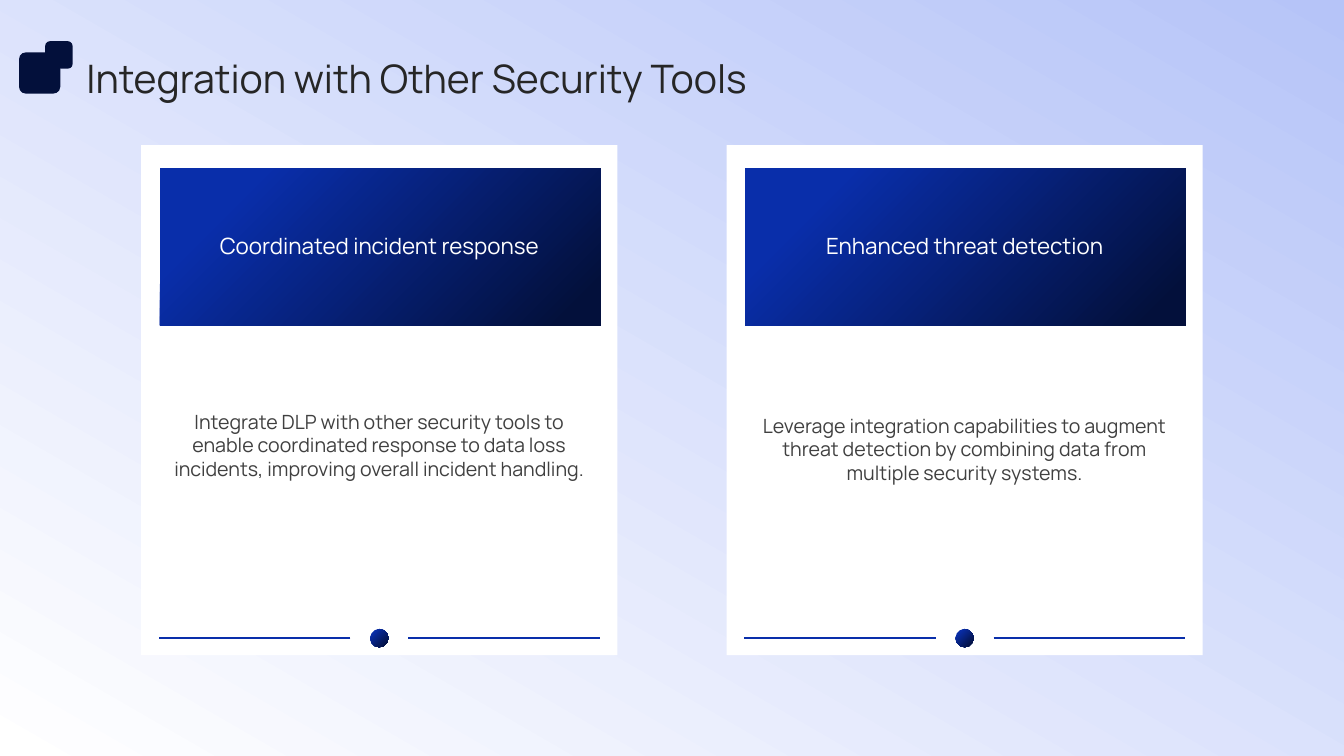
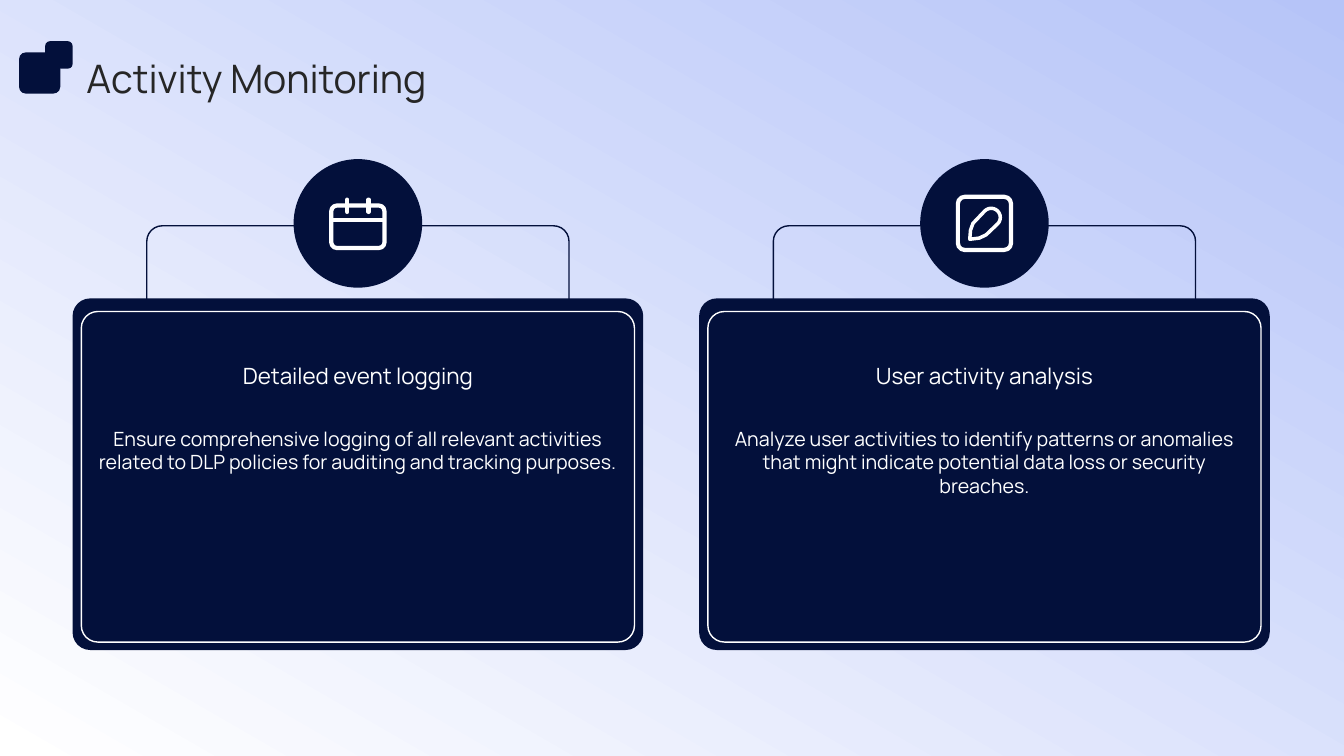
from math import cos, radians, sin

from pptx import Presentation
from pptx import util as u
from pptx.dml.color import RGBColor
from pptx.enum import shapes, text
from pptx.oxml import ns, xmlchemy

FONT = "Manrope"
NAVY, BLUE, WHITE = "03103B", "092EAA", "FFFFFF"
TITLE_GREY, BODY_GREY = "262626", "404040"
SKY = "B6C4F8"
ROUND = shapes.MSO_SHAPE.ROUNDED_RECTANGLE
OVAL = shapes.MSO_SHAPE.OVAL
SQUARE = shapes.MSO_SHAPE.RECTANGLE
DARK_GRADIENT = ((0.18, BLUE), (0.93, NAVY))


def color(code):
    """Turn a hex string into a colour."""
    return RGBColor.from_string(code)


def paint_gradient(fill, stops, angle):
    """Fill with a linear gradient, its angle counted counter-clockwise."""
    fill.gradient()
    fill.gradient_angle = angle
    for stop, (position, code) in zip(fill.gradient_stops, stops):
        stop.position = position
        stop.color.rgb = color(code)


def style_shape(shape, fill=None, line=None, width=1):
    """Give a shape a plain or gradient fill and an optional outline."""
    shape.shadow.inherit = False
    if fill is None:
        shape.fill.background()
    elif isinstance(fill, str):
        shape.fill.solid()
        shape.fill.fore_color.rgb = color(fill)
    else:
        paint_gradient(shape.fill, fill, 315)
    if line:
        shape.line.color.rgb = color(line)
        shape.line.width = u.Pt(width)
    else:
        shape.line.fill.background()


def add_box(page, kind, box, fill=None, line=None, width=1, corner=None):
    """Place a preset shape in a box given in centimetres."""
    shape = page.shapes.add_shape(kind, *map(u.Cm, box))
    if corner is not None:
        shape.adjustments[0] = corner
    style_shape(shape, fill, line, width)


def add_line(page, ends, code, width, cap="flat"):
    """Draw a straight line between two points in centimetres."""
    line = page.shapes.add_connector(
        shapes.MSO_CONNECTOR.STRAIGHT, *map(u.Cm, ends))
    line.line.color.rgb = color(code)
    line.line.width = u.Pt(width)
    properties = line._element.spPr
    properties.find(ns.qn("a:ln")).set("cap", cap)
    properties.append(xmlchemy.OxmlElement("a:effectLst"))


def add_text(page, box, words, size, code, centred=True, margins=(0, 0),
             anchor=text.MSO_ANCHOR.MIDDLE):
    """Place one paragraph of text in a box given in centimetres."""
    frame = page.shapes.add_textbox(*map(u.Cm, box)).text_frame
    frame.word_wrap = True
    frame.vertical_anchor = anchor
    frame.margin_left = frame.margin_right = u.Cm(margins[0])
    frame.margin_top = frame.margin_bottom = u.Cm(margins[1])
    frame.text = words
    para = frame.paragraphs[0]
    para.alignment = text.PP_ALIGN.CENTER if centred else text.PP_ALIGN.LEFT
    for span in para.runs:
        span.font.name = FONT
        span.font.size = u.Pt(size)
        span.font.color.rgb = color(code)


def add_page(deck, title):
    """Add a page with the shared background, corner mark and title."""
    page = deck.slides.add_slide(deck.slide_layouts[6])
    paint_gradient(page.background.fill, ((0, SKY), (1, WHITE)), 240)
    add_text(page, (2.18, 1.3, 29.64, 1.3), title, 28, TITLE_GREY, centred=False)
    for box in ((0.48, 1.32, 1.04, 1.04), (1.14, 1.04, 0.69, 0.69)):
        add_box(page, ROUND, box, NAVY)
    return page


def add_card(page, left, top, heading, body, body_top):
    """Draw a white card with a banner, body text and a dotted rule."""
    width, height = 12, 12.85
    middle, rule = left + width / 2, top + 12.42
    add_box(page, SQUARE, (left, top, width, height), WHITE)
    add_box(page, SQUARE, (left + 0.47, top + 0.58, 11.1, 3.96), DARK_GRADIENT)
    add_text(page, (left + 0.5, top + 1.04, 11, 3), heading, 16, WHITE)
    add_text(page, (left + 0.5, top + body_top, 11, 5), body, 14, BODY_GREY,
             margins=(0.25, 0.13))
    add_box(page, OVAL, (middle - 0.23, rule - 0.23, 0.46, 0.46), DARK_GRADIENT)
    for side in (-1, 1):
        add_line(page, (middle + side * 0.73, rule, middle + side * 5.55, rule),
                 BLUE, 1.5)


def add_calendar(page, x, y):
    """Draw a calendar icon around a centre point."""
    add_box(page, ROUND, (x - 0.67, y - 0.45, 1.34, 1.07), line=WHITE, width=3,
            corner=0.13)
    add_line(page, (x - 0.67, y - 0.09, x + 0.67, y - 0.09), WHITE, 3)
    for ring in (x - 0.27, x + 0.27):
        add_line(page, (ring, y - 0.6, ring, y - 0.29), WHITE, 3, "rnd")


def add_pen(page, x, y):
    """Draw a pen in a rounded frame around a centre point."""
    add_box(page, ROUND, (x - 0.67, y - 0.67, 1.34, 1.34), line=WHITE, width=3,
            corner=0.13)
    cap = [(0.17 + 0.23 * cos(radians(turn)), -0.15 + 0.23 * sin(radians(turn)))
           for turn in range(225, 406, 15)]
    outline = [(-0.37, 0.4), (-0.35, 0.17), (-0.29, 0), *cap,
               (0.04, 0.29), (-0.13, 0.37)]
    points = [(u.Cm(x + across), u.Cm(y + down)) for across, down in outline]
    builder = page.shapes.build_freeform(*points[0])
    builder.add_line_segments(points[1:], close=True)
    style_shape(builder.convert_to_shape(), line=WHITE, width=2.5)


def add_panel(page, left, top, heading, body, draw_icon):
    """Draw a dark panel with a bracket and a round icon above it."""
    width, height = 14.38, 8.86
    middle, radius, icon_y = left + width / 2, 1.62, top - 1.89
    add_box(page, ROUND, (middle - 5.32, top - 1.83, 10.64, 7.82), line=NAVY,
            corner=0.05)
    add_box(page, OVAL, (middle - radius, icon_y - radius, 2 * radius, 2 * radius),
            NAVY)
    draw_icon(page, middle, icon_y)
    add_box(page, ROUND, (left, top, width, height), NAVY, corner=0.05)
    add_box(page, ROUND, (left + 0.22, top + 0.33, 13.94, 8.33), NAVY, WHITE,
            corner=0.05)
    add_text(page, (left + 0.65, top + 0.81, 13.08, 2.29), heading, 16, WHITE)
    add_text(page, (left + 0.65, top + 3.23, 13.08, 5), body, 14, WHITE,
             anchor=text.MSO_ANCHOR.TOP)


def build_integration(deck):
    """Build the page on integration with other tools."""
    page = add_page(deck, "Integration with Other Security Tools")
    cards = (
        ("Coordinated incident response",
         "Integrate DLP with other security tools to enable coordinated response "
         "to data loss incidents, improving overall incident handling.", 5.05),
        ("Enhanced threat detection",
         "Leverage integration capabilities to augment threat detection by "
         "combining data from multiple security systems.", 5.15),
    )
    for index, card in enumerate(cards):
        add_card(page, 3.56 + index * 14.75, 3.66, *card)


def build_monitoring(deck):
    """Build the page on activity monitoring."""
    page = add_page(deck, "Activity Monitoring")
    panels = (
        ("Detailed event logging",
         "Ensure comprehensive logging of all relevant activities related to DLP "
         "policies for auditing and tracking purposes.", add_calendar),
        ("User activity analysis",
         "Analyze user activities to identify patterns or anomalies that might "
         "indicate potential data loss or security breaches.", add_pen),
    )
    for index, panel in enumerate(panels):
        add_panel(page, 1.83 + index * 15.79, 7.52, *panel)


def main():
    """Build and save the deck."""
    deck = Presentation()
    deck.slide_width, deck.slide_height = u.Cm(33.87), u.Cm(19.05)
    build_integration(deck)
    build_monitoring(deck)
    deck.save("out.pptx")


if __name__ == "__main__":
    main()
